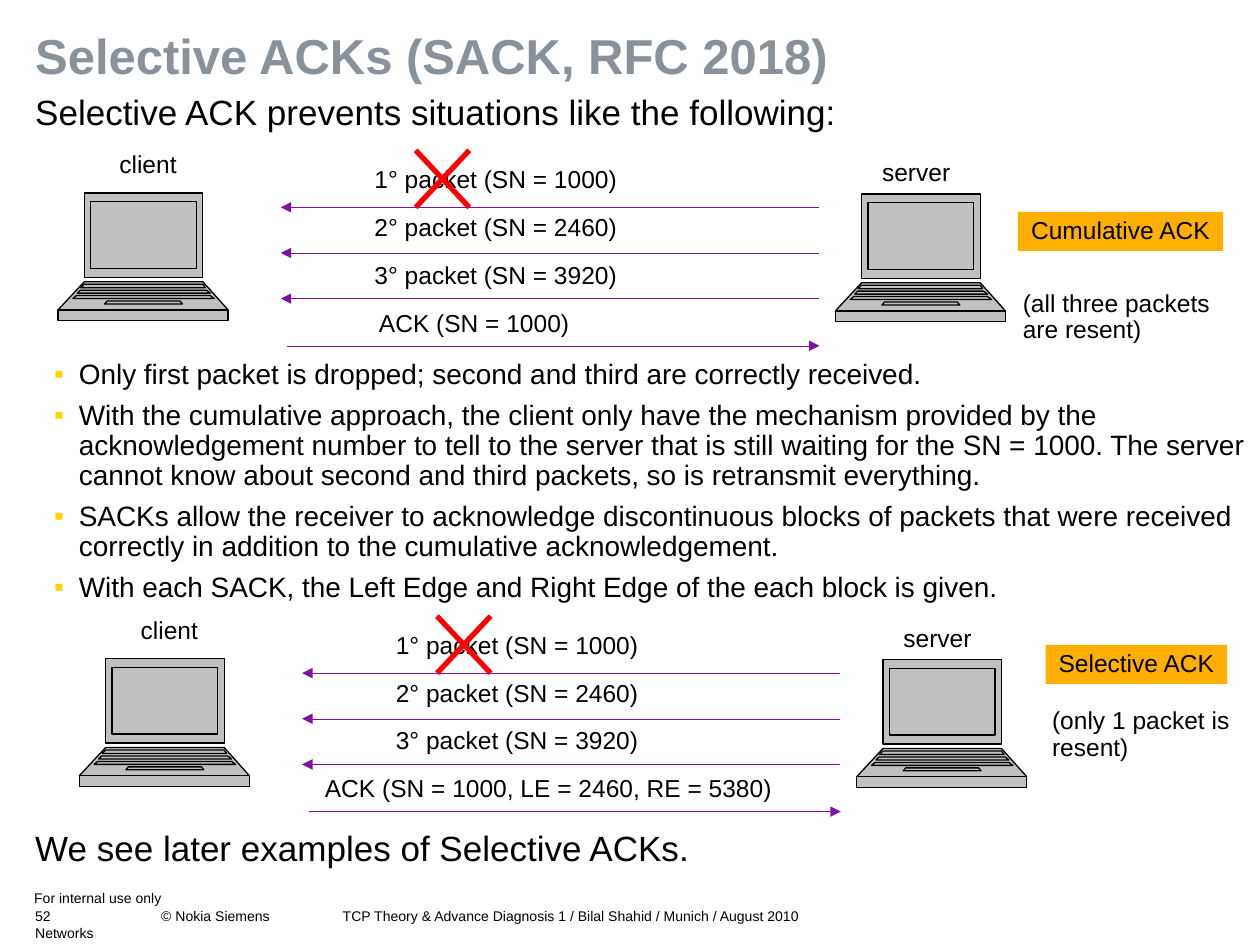
"""Builds a slide comparing cumulative and selective TCP acknowledgements."""
from dataclasses import dataclass

from lxml import etree
from pptx import Presentation, util as u
from pptx.dml.color import RGBColor
from pptx.enum import shapes, text
from pptx.oxml import ns


@dataclass(frozen=True)
class Theme:
    """Colours, font and type sizes of the slide."""
    font: str = "Arial"
    ink: str = "000000"
    title: str = "89929B"
    bullet: str = "FFD308"
    badge: str = "FFAF00"
    laptop: str = "C0C0C0"
    arrow: str = "7F10A2"
    cross: str = "FF0000"
    title_size: int = 28
    lead_size: int = 20
    bullet_size: int = 16
    label_size: int = 14
    footer_size: int = 8


@dataclass(frozen=True)
class Scene:
    """One exchange: its offset, its ACK label and its verdict."""
    dx: float
    dy: float
    ack: str
    ack_box: tuple
    badge: str
    badge_box: tuple
    note: str
    note_box: tuple


THEME = Theme()
PADDED = (0.25, 0.13)
FLUSH = (0, 0)

SCENES = (
    Scene(0, 0, "ACK (SN = 1000)", (7.39, 6.15, 4.34, 0.79),
          "Cumulative ACK", (20.52, 4.27, 4.14, 0.79),
          "(all three packets are resent)", (20.37, 5.74, 5, 1.32)),
    Scene(0.43, 9.39, "ACK (SN = 1000, LE = 2460, RE = 5380)", (6.3, 15.52, 10.21, 0.79),
          "Selective ACK", (21.08, 13, 3.66, 0.79),
          "(only 1 packet is resent)", (20.96, 14.15, 4.45, 1.32)),
)
PACKETS = ("1° packet (SN = 1000)", "2° packet (SN = 2460)", "3° packet (SN = 3920)")

# Each band: top, left, right, then bottom, left, right, in hundredths of a centimetre.
LAPTOP_BANDS = (
    (0, 53, 292, 170, 53, 292),
    (179, 53, 292, 236, 0, 343),
    (236, 0, 343, 257, 0, 343),
    (18, 66, 279, 152, 66, 279),
    (184, 53, 292, 191, 46, 297),
    (218, 99, 246, 224, 94, 251),
    (196, 45, 299, 202, 39, 307),
    (207, 37, 307, 213, 30, 315),
)

BULLETS = (
    "Only first packet is dropped; second and third are correctly received.",
    "With the cumulative approach, the client only have the mechanism provided by the "
    "acknowledgement number to tell to the server that is still waiting for the SN = 1000. "
    "The server cannot know about second and third packets, so is retransmit everything.",
    "SACKs allow the receiver to acknowledge discontinuous blocks of packets that were "
    "received correctly in addition to the cumulative acknowledgement.",
    "With each SACK, the Left Edge and Right Edge of the each block is given.",
)


def colour(value):
    """Return a colour object for a hex string."""
    return RGBColor.from_string(value)


def place(shape, box):
    """Move and size a shape, in centimetres."""
    shape.left, shape.top, shape.width, shape.height = map(u.Cm, box)


def set_frame(shape, insets, wrap=True):
    """Give a text frame its insets, wrapping and top anchor."""
    frame = shape.text_frame
    frame.margin_left = frame.margin_right = u.Cm(insets[0])
    frame.margin_top = frame.margin_bottom = u.Cm(insets[1])
    frame.auto_size = text.MSO_AUTO_SIZE.NONE
    frame.vertical_anchor = text.MSO_ANCHOR.TOP
    frame.word_wrap = wrap
    return frame


def format_paragraph(paragraph, size, ink=THEME.ink, bold=False, align="LEFT", spacing=0.9):
    """Format a paragraph and its runs."""
    paragraph.alignment = getattr(text.PP_ALIGN, align)
    paragraph.line_spacing = spacing
    paragraph.space_before = u.Pt(0)
    for run in paragraph.runs:
        run.font.name = THEME.font
        run.font.size = u.Pt(size)
        run.font.bold = bold
        run.font.color.rgb = colour(ink)


def add_label(slide, words, box, size=THEME.label_size, insets=PADDED, wrap=False, **style):
    """Add a text box with one paragraph."""
    shape = slide.shapes.add_textbox(*map(u.Cm, box))
    frame = set_frame(shape, insets, wrap)
    frame.text = words
    format_paragraph(frame.paragraphs[0], size, **style)
    return shape


def add_badge(slide, words, box):
    """Add a filled rectangle with a centred label."""
    shape = slide.shapes.add_shape(shapes.MSO_SHAPE.RECTANGLE, *map(u.Cm, box))
    shape.shadow.inherit = False
    shape.fill.solid()
    shape.fill.fore_color.rgb = colour(THEME.badge)
    shape.line.fill.background()
    frame = set_frame(shape, PADDED, wrap=False)
    frame.text = words
    format_paragraph(frame.paragraphs[0], THEME.label_size, align="CENTER")


def add_line(slide, ends, ink, width, arrow=False):
    """Add a straight line, with an arrowhead at its end if asked."""
    line = slide.shapes.add_connector(shapes.MSO_CONNECTOR.STRAIGHT, *map(u.Cm, ends))
    line.line.color.rgb = colour(ink)
    line.line.width = u.Pt(width)
    if arrow:
        etree.SubElement(line.line._get_or_add_ln(), ns.qn("a:tailEnd"), type="triangle")
    etree.SubElement(line._element.spPr, ns.qn("a:effectLst"))


def split_outlines(shape):
    """Give each closed outline its own path, so that inner ones are filled too."""
    joined = shape._element.find(".//" + ns.qn("a:path"))
    paths = joined.getparent()
    for step in list(joined):
        if step.tag == ns.qn("a:moveTo"):
            outline = etree.SubElement(paths, ns.qn("a:path"), dict(joined.attrib))
        outline.append(step)
    paths.remove(joined)


def add_laptop(slide, left, top):
    """Draw a laptop as one freeform."""
    builder = slide.shapes.build_freeform(LAPTOP_BANDS[0][1], 0, scale=u.Cm(0.01))
    for index, (y1, left1, right1, y2, left2, right2) in enumerate(LAPTOP_BANDS):
        if index:
            builder.move_to(left1, y1)
        builder.add_line_segments([(right1, y1), (right2, y2), (left2, y2)], close=True)
    laptop = builder.convert_to_shape(u.Cm(left), u.Cm(top))
    split_outlines(laptop)
    laptop.shadow.inherit = False
    laptop.fill.solid()
    laptop.fill.fore_color.rgb = colour(THEME.laptop)
    laptop.line.color.rgb = colour(THEME.ink)
    laptop.line.width = u.Pt(0.75)


def add_scene(slide, scene):
    """Draw one exchange between client and server."""
    dx, dy = scene.dx, scene.dy
    add_laptop(slide, 1.17 + dx, 3.89 + dy)
    add_laptop(slide, 16.84 + dx, 3.91 + dy)
    add_label(slide, "client", (2.16 + dx, 2.95 + dy, 1.65, 0.79), align="CENTER")
    add_label(slide, "server", (17.53 + dx, 3.1 + dy, 1.88, 0.79), align="CENTER")
    for index, packet in enumerate(PACKETS):
        y = 4.18 + 0.92 * index + dy
        add_line(slide, (16.51 + dx, y, 5.66 + dx, y), THEME.arrow, 0.25, arrow=True)
        add_label(slide, packet, (7.3 + dx, 3.25 + 0.96 * index + dy, 5.38, 0.79))
    for y1, y2 in ((3.03, 4.18), (4.18, 3.03)):
        add_line(slide, (8.38 + dx, y1 + dy, 9.46 + dx, y2 + dy), THEME.cross, 3)
    add_line(slide, (5.79 + dx, 6.97 + dy, 16.52 + dx, 6.97 + dy), THEME.arrow, 0.25, arrow=True)
    add_label(slide, scene.ack, scene.ack_box)
    add_badge(slide, scene.badge, scene.badge_box)
    add_label(slide, scene.note, scene.note_box, wrap=True)


def fill_title(slide):
    """Fill the title placeholder."""
    title = slide.shapes.title
    place(title, (0.71, 0.64, 23.98, 1.25))
    frame = set_frame(title, FLUSH)
    frame.text = "Selective ACKs (SACK, RFC 2018)"
    format_paragraph(frame.paragraphs[0], THEME.title_size, THEME.title, bold=True)


def fill_bullets(slide):
    """Fill the body placeholder with the bulleted list."""
    body = slide.placeholders[1]
    place(body, (0.84, 7.14, 24.56, 5.16))
    frame = set_frame(body, PADDED)
    frame.text = "\n".join(BULLETS)
    for index, paragraph in enumerate(frame.paragraphs):
        properties = paragraph._p.get_or_add_pPr()
        properties.set("marL", str(u.Cm(0.5)))
        properties.set("indent", str(-u.Cm(0.5)))
        tint = etree.SubElement(properties, ns.qn("a:buClr"))
        etree.SubElement(tint, ns.qn("a:srgbClr"), val=THEME.bullet)
        etree.SubElement(properties, ns.qn("a:buFont"), typeface=THEME.font)
        etree.SubElement(properties, ns.qn("a:buChar"), char="▪")
        format_paragraph(paragraph, THEME.bullet_size)
        paragraph.space_before = u.Pt(6 if index else 0)


def add_footer(slide):
    """Add the footer lines."""
    style = {"size": THEME.footer_size, "insets": FLUSH, "wrap": True, "spacing": 1}
    add_label(slide, "For internal use only", (0.69, 17.93, 8.46, 0.38), **style)
    notice = add_label(slide, "52\t© Nokia Siemens Networks", (0.71, 18.29, 5.92, 0.69), **style)
    properties = notice.text_frame.paragraphs[0]._p.get_or_add_pPr()
    tabs = etree.SubElement(properties, ns.qn("a:tabLst"))
    etree.SubElement(tabs, ns.qn("a:tab"), pos=str(u.Cm(2.54)), algn="l")
    add_label(slide, "TCP Theory & Advance Diagnosis 1 / Bilal Shahid / Munich / August 2010",
              (6.91, 18.29, 10.59, 0.33), **style)


def main():
    """Build and save the slide."""
    presentation = Presentation()
    presentation.slide_width, presentation.slide_height = u.Cm(25.4), u.Cm(19.05)
    slide = presentation.slides.add_slide(presentation.slide_layouts[1])
    fill_title(slide)
    fill_bullets(slide)
    for words, top in (("Selective ACK prevents situations like the following:", 1.93),
                       ("We see later examples of Selective ACKs.", 16.75)):
        add_label(slide, words, (0.71, top, 24, 0.9), THEME.lead_size, FLUSH, wrap=True)
    for scene in SCENES:
        add_scene(slide, scene)
    add_footer(slide)
    presentation.save("out.pptx")


if __name__ == "__main__":
    main()
